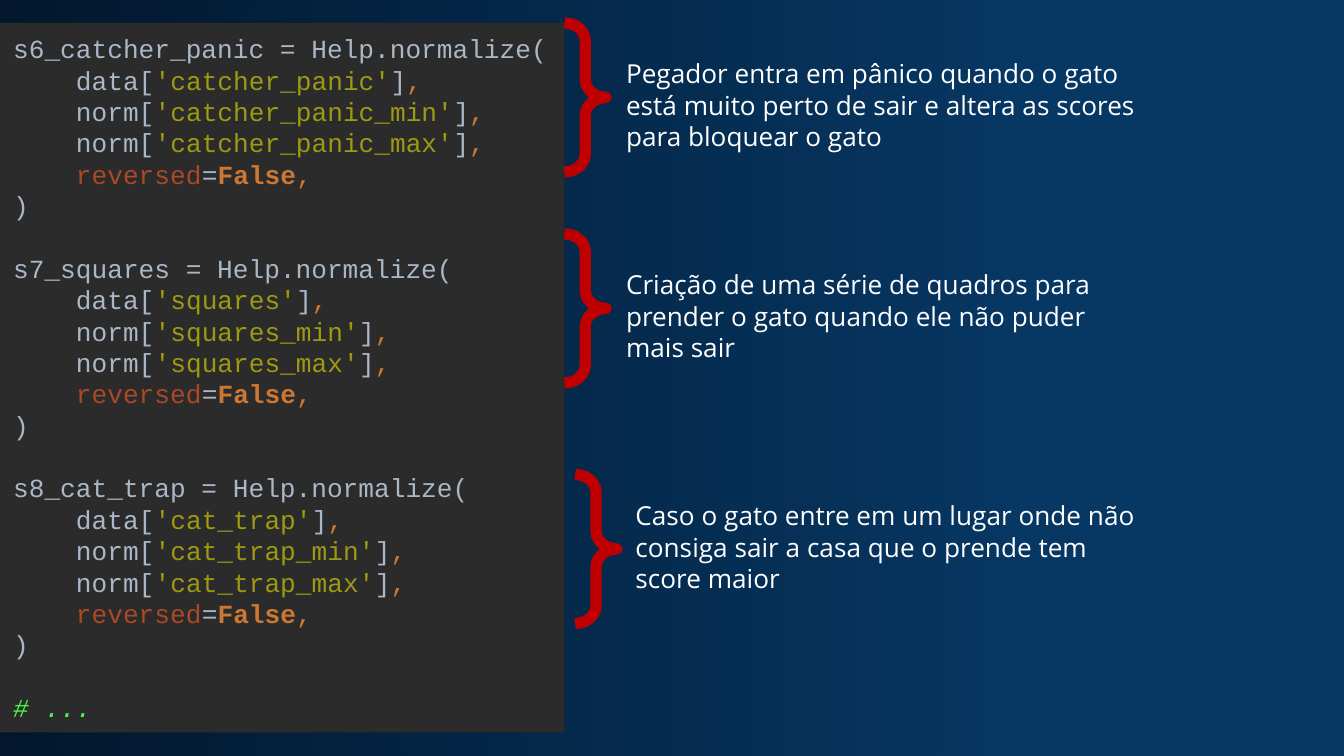
"""Build a slide that explains three normalized scores beside their code."""
from lxml import etree
from pptx import Presentation, util as u
from pptx.dml.color import RGBColor
from pptx.enum import shapes, text
from pptx.oxml.ns import qn

WIDTH = 10
HEIGHT = WIDTH * 9 / 16
LINE_HEIGHT = 16.82
SCORES = [("s6_catcher_panic", "catcher_panic"), ("s7_squares", "squares"), ("s8_cat_trap", "cat_trap")]
NOTES = [
    (4.2, 0.17, 4.56, 0.38, 0.31, "Pegador entra em pânico quando o gato está muito perto de sair e altera as scores para bloquear o gato"),
    (4.2, 1.74, 4.56, 1.95, 0.31, "Criação de uma série de quadros para prender o gato quando ele não puder mais sair"),
    (4.28, 3.53, 4.63, 3.67, 0.65, "Caso o gato entre em um lugar onde não consiga sair a casa que o prende tem score maior"),
]
STYLES = {
    "plain": {"color": "A9B7C6"},
    "string": {"color": "9D9913"},
    "comma": {"color": "CC7832"},
    "argument": {"color": "AA4926"},
    "keyword": {"color": "CC7832", "bold": True},
    "comment": {"color": "4BF346", "italic": True},
    "note": {"color": "FFFFFF", "name": "Open Sans"},
}


def rgb(value):
    """Turn a hex string into a colour."""
    return RGBColor.from_string(value)


def add_run(paragraph, words, style):
    """Add one run in a named style."""
    run = paragraph.add_run()
    run.text = words
    values = {"name": "Courier New", "size": u.Pt(14), **STYLES[style]}
    run.font.color.rgb = rgb(values.pop("color"))
    for name, value in values.items():
        setattr(run.font, name, value)


def format_paragraph(paragraph, space_before=0):
    """Align a paragraph left on the common line height."""
    values = {"alignment": text.PP_ALIGN.LEFT, "line_spacing": u.Pt(LINE_HEIGHT),
              "space_before": u.Pt(space_before)}
    for name, value in values.items():
        setattr(paragraph, name, value)


def add_shape(slide, kind, *box):
    """Add a preset shape without shadow or outline."""
    shape = slide.shapes.add_shape(kind, *map(u.Inches, box))
    shape.shadow.inherit = False
    shape.line.fill.background()
    return shape


def add_shade(slide):
    """Darken the left side of the background."""
    shade = add_shape(slide, shapes.MSO_SHAPE.RECTANGLE, 0, 0, WIDTH * 0.75, HEIGHT)
    shade.fill.gradient()
    shade.fill.gradient_angle = 180
    for stop in shade.fill.gradient_stops:
        stop.color.rgb = rgb("000208")
    colors = list(shade.element.spPr.iter(qn("a:srgbClr")))
    for color, opacity in zip(colors, (0, 60)):
        etree.SubElement(color, qn("a:alpha")).set("val", str(opacity * 1000))


def score_lines(variable, key):
    """List the code lines of one score as styled pieces."""
    fields = [("data", key), ("norm", f"{key}_min"), ("norm", f"{key}_max")]
    return [
        [(f"{variable} = Help.normalize(", "plain")],
        *[[(f"    {source}[", "plain"), (f"'{field}'", "string"), ("]", "plain"), (",", "comma")]
          for source, field in fields],
        [("    reversed", "argument"), ("=", "plain"), ("False", "keyword"), (",", "comma")],
        [(")", "plain")],
    ]


def add_code(slide):
    """Add the code panel with its closing comment."""
    panel = add_shape(slide, shapes.MSO_SHAPE.RECTANGLE, 0, 0.17, 4.2, 5.28)
    panel.fill.solid()
    panel.fill.fore_color.rgb = rgb("2B2B2B")
    frame = panel.text_frame
    frame.word_wrap = False
    frame.vertical_anchor = text.MSO_ANCHOR.MIDDLE
    code = frame.paragraphs[0]
    format_paragraph(code)
    for index, score in enumerate(SCORES):
        for row, pieces in enumerate(score_lines(*score)):
            breaks = 1 if row else 2 * min(index, 1)
            for _ in range(breaks):
                code.add_line_break()
            for words, style in pieces:
                add_run(code, words, style)
    comment = frame.add_paragraph()
    format_paragraph(comment, LINE_HEIGHT)
    add_run(comment, "# ...", "comment")


def add_note(slide, brace_left, brace_top, left, top, height, words):
    """Add a brace and the note it points to."""
    brace = add_shape(slide, shapes.MSO_SHAPE.RIGHT_BRACE, brace_left, brace_top, 0.31, 1.11)
    brace.adjustments[0], brace.adjustments[1] = 0.43, 0.5
    brace.fill.background()
    brace.line.color.rgb = rgb("C00000")
    brace.line.width = u.Pt(6)
    frame = slide.shapes.add_textbox(*map(u.Inches, (left, top, 4, height))).text_frame
    frame.word_wrap = True
    format_paragraph(frame.paragraphs[0])
    add_run(frame.paragraphs[0], words, "note")


def main():
    """Build and save the presentation."""
    presentation = Presentation()
    presentation.slide_width, presentation.slide_height = u.Inches(WIDTH), u.Inches(HEIGHT)
    slide = presentation.slides.add_slide(presentation.slide_layouts[6])
    slide.background.fill.solid()
    slide.background.fill.fore_color.rgb = rgb("073763")
    add_shade(slide)
    add_code(slide)
    for note in NOTES:
        add_note(slide, *note)
    presentation.save("out.pptx")


if __name__ == "__main__":
    main()
